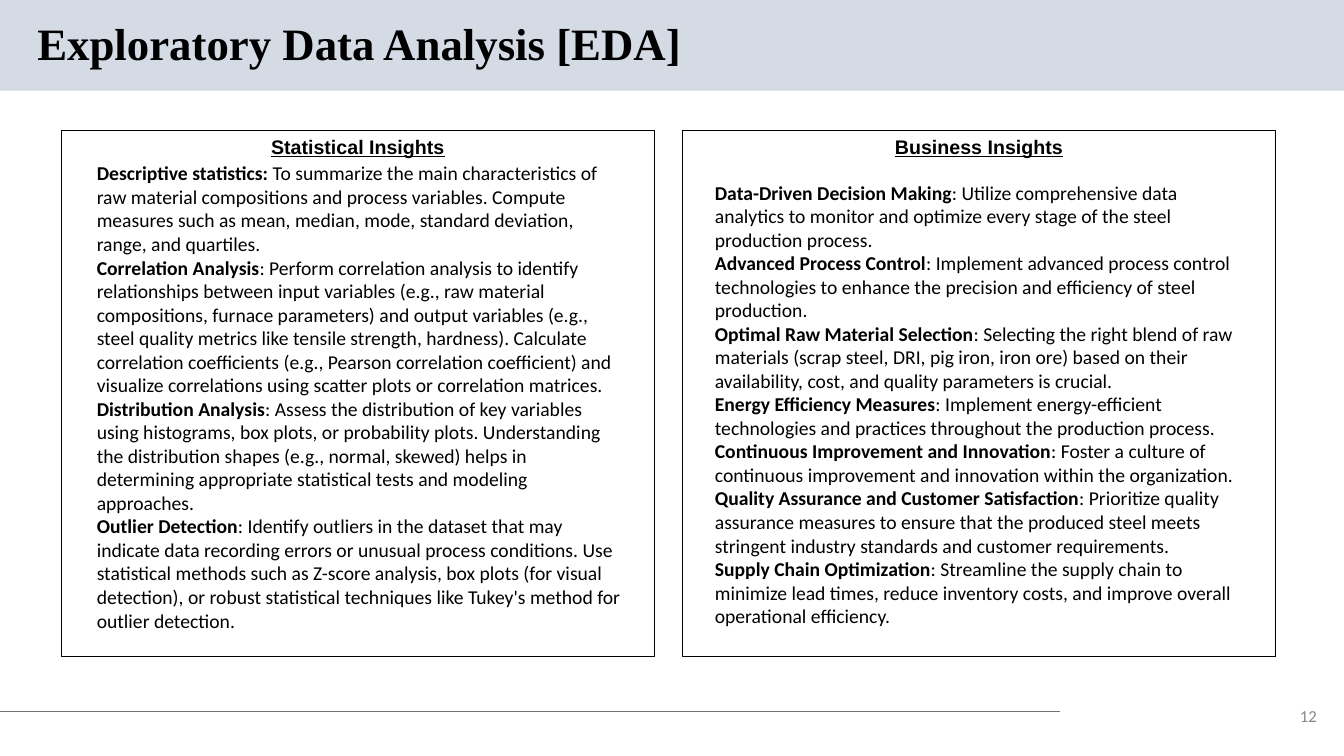
from dataclasses import dataclass

from lxml import etree
from pptx import Presentation
from pptx.dml.color import RGBColor
from pptx.enum.shapes import MSO_CONNECTOR, MSO_SHAPE
from pptx.enum.text import MSO_ANCHOR, MSO_AUTO_SIZE, PP_ALIGN
from pptx.oxml.ns import qn
from pptx.util import Inches, Pt

BLACK = RGBColor(0x00, 0x00, 0x00)
BAND_BLUE = RGBColor(0xD5, 0xDB, 0xE5)
RULE_GRAY = RGBColor(0x70, 0x70, 0x70)
NUMBER_GRAY = RGBColor(0x88, 0x88, 0x88)

RECTANGLE = MSO_SHAPE.RECTANGLE
STRAIGHT = MSO_CONNECTOR.STRAIGHT
TOP, MIDDLE = MSO_ANCHOR.TOP, MSO_ANCHOR.MIDDLE
LEFT, CENTER, RIGHT = PP_ALIGN.LEFT, PP_ALIGN.CENTER, PP_ALIGN.RIGHT
GROW = MSO_AUTO_SIZE.SHAPE_TO_FIT_TEXT

COMPARISON_LAYOUT = 4
PANEL_TOP, PANEL_WIDTH, PANEL_HEIGHT = 1.29, 5.88, 5.22
HEADING_HEIGHT = 0.34


@dataclass(frozen=True)
class Box:
    left: float
    top: float
    width: float
    height: float


@dataclass(frozen=True)
class Insight:
    term: str
    detail: str


@dataclass(frozen=True)
class Panel:
    heading: str
    left: float
    heading_idx: int
    body_idx: int
    body: Box
    insights: tuple[Insight, ...]


PANELS = (
    Panel("Statistical Insights", 0.61, 1, 2, Box(0.86, 1.55, 5.4, 4.86), (
        Insight("Descriptive statistics:",
                " To summarize the main characteristics of raw material compositions and process "
                "variables. Compute measures such as mean, median, mode, standard deviation, "
                "range, and quartiles."),
        Insight("Correlation Analysis",
                ": Perform correlation analysis to identify relationships between input variables "
                "(e.g., raw material compositions, furnace parameters) and output variables "
                "(e.g., steel quality metrics like tensile strength, hardness). Calculate "
                "correlation coefficients (e.g., Pearson correlation coefficient) and visualize "
                "correlations using scatter plots or correlation matrices."),
        Insight("Distribution Analysis",
                ": Assess the distribution of key variables using histograms, box plots, or "
                "probability plots. Understanding the distribution shapes (e.g., normal, skewed) "
                "helps in determining appropriate statistical tests and modeling approaches."),
        Insight("Outlier Detection",
                ": Identify outliers in the dataset that may indicate data recording errors or "
                "unusual process conditions. Use statistical methods such as Z-score analysis, "
                "box plots (for visual detection), or robust statistical techniques like Tukey's "
                "method for outlier detection."),
    )),
    Panel("Business Insights", 6.77, 3, 4, Box(6.99, 1.74, 5.42, 4.58), (
        Insight("Data-Driven Decision Making",
                ": Utilize comprehensive data analytics to monitor and optimize every stage of "
                "the steel production process."),
        Insight("Advanced Process Control",
                ": Implement advanced process control technologies to enhance the precision and "
                "efficiency of steel production."),
        Insight("Optimal Raw Material Selection",
                ": Selecting the right blend of raw materials (scrap steel, DRI, pig iron, iron "
                "ore) based on their availability, cost, and quality parameters is crucial."),
        Insight("Energy Efficiency Measures",
                ": Implement energy-efficient technologies and practices throughout the "
                "production process."),
        Insight("Continuous Improvement and Innovation",
                ": Foster a culture of continuous improvement and innovation within the "
                "organization."),
        Insight("Quality Assurance and Customer Satisfaction",
                ": Prioritize quality assurance measures to ensure that the produced steel meets "
                "stringent industry standards and customer requirements."),
        Insight("Supply Chain Optimization",
                ": Streamline the supply chain to minimize lead times, reduce inventory costs, "
                "and improve overall operational efficiency."),
    )),
)


def place(shape, box: Box) -> None:
    shape.left, shape.top = Inches(box.left), Inches(box.top)
    shape.width, shape.height = Inches(box.width), Inches(box.height)


def prepare_frame(shape, box: Box, anchor: MSO_ANCHOR):
    """Place a text shape and return its wrapping text frame."""
    place(shape, box)
    frame = shape.text_frame
    frame.word_wrap = True
    frame.auto_size = GROW
    frame.vertical_anchor = anchor
    return frame


def format_paragraph(paragraph, align: PP_ALIGN, line_spacing: float = 1.0) -> None:
    """Set alignment and spacing, and switch off the inherited bullet and indent."""
    paragraph.alignment = align
    paragraph.line_spacing = line_spacing
    paragraph.space_before = paragraph.space_after = Pt(0)
    properties = paragraph._p.get_or_add_pPr()
    properties.set("marL", "0")
    properties.set("indent", "0")
    etree.SubElement(properties, qn("a:buNone"))


def add_run(paragraph, text: str, font: str, size: int, color: RGBColor = BLACK,
            bold: bool = False, underline: bool = False) -> None:
    run = paragraph.add_run()
    run.text = text
    run.font.name = font
    run.font.size = Pt(size)
    run.font.bold = bold
    run.font.underline = underline
    run.font.color.rgb = color


def add_rectangle(slide, box: Box):
    rectangle = slide.shapes.add_shape(RECTANGLE, 0, 0, 0, 0)
    place(rectangle, box)
    rectangle.shadow.inherit = False
    return rectangle


def add_title_band(slide) -> None:
    band = add_rectangle(slide, Box(0, 0, 13.33, 0.9))
    band.fill.solid()
    band.fill.fore_color.rgb = BAND_BLUE
    band.line.fill.background()
    slide.shapes.element.insert(2, band.element)  # behind the title

    title = prepare_frame(slide.shapes.title, Box(0.27, 0.16, 10.11, 0.59), MIDDLE).paragraphs[0]
    format_paragraph(title, LEFT, 0.9)
    add_run(title, "Exploratory Data Analysis [EDA]", "Times New Roman", 32, bold=True)


def add_panel(slide, panel: Panel) -> None:
    border = add_rectangle(slide, Box(panel.left, PANEL_TOP, PANEL_WIDTH, PANEL_HEIGHT))
    border.fill.background()
    border.line.color.rgb = BLACK
    border.line.width = Pt(0.75)

    placeholders = {holder.placeholder_format.idx: holder for holder in slide.placeholders}
    heading_box = Box(panel.left, PANEL_TOP, PANEL_WIDTH, HEADING_HEIGHT)
    heading = prepare_frame(placeholders[panel.heading_idx], heading_box, TOP).paragraphs[0]
    format_paragraph(heading, CENTER)
    add_run(heading, panel.heading, "Arial", 14, bold=True, underline=True)

    body = prepare_frame(placeholders[panel.body_idx], panel.body, TOP)
    for position, insight in enumerate(panel.insights):
        paragraph = body.add_paragraph() if position else body.paragraphs[0]
        format_paragraph(paragraph, LEFT)
        add_run(paragraph, insight.term, "Calibri", 14, bold=True)
        add_run(paragraph, insight.detail, "Calibri", 14)


def add_footer(slide) -> None:
    rule = slide.shapes.add_connector(STRAIGHT, 0, Inches(7.06), Inches(10.51), Inches(7.06))
    rule.line.color.rgb = RULE_GRAY
    rule.line.width = Pt(0.75)
    etree.SubElement(rule._element.spPr, qn("a:effectLst"))

    number_box = slide.shapes.add_textbox(0, 0, 0, 0)
    number = prepare_frame(number_box, Box(12.73, 6.94, 0.43, 0.32), MIDDLE).paragraphs[0]
    number.alignment = RIGHT
    add_run(number, "12", "Calibri", 12, NUMBER_GRAY)


def main() -> None:
    deck = Presentation()
    deck.slide_width, deck.slide_height = Inches(13.33), Inches(7.5)
    slide = deck.slides.add_slide(deck.slide_layouts[COMPARISON_LAYOUT])
    add_title_band(slide)
    for panel in PANELS:
        add_panel(slide, panel)
    add_footer(slide)
    deck.save("out.pptx")


if __name__ == "__main__":
    main()
